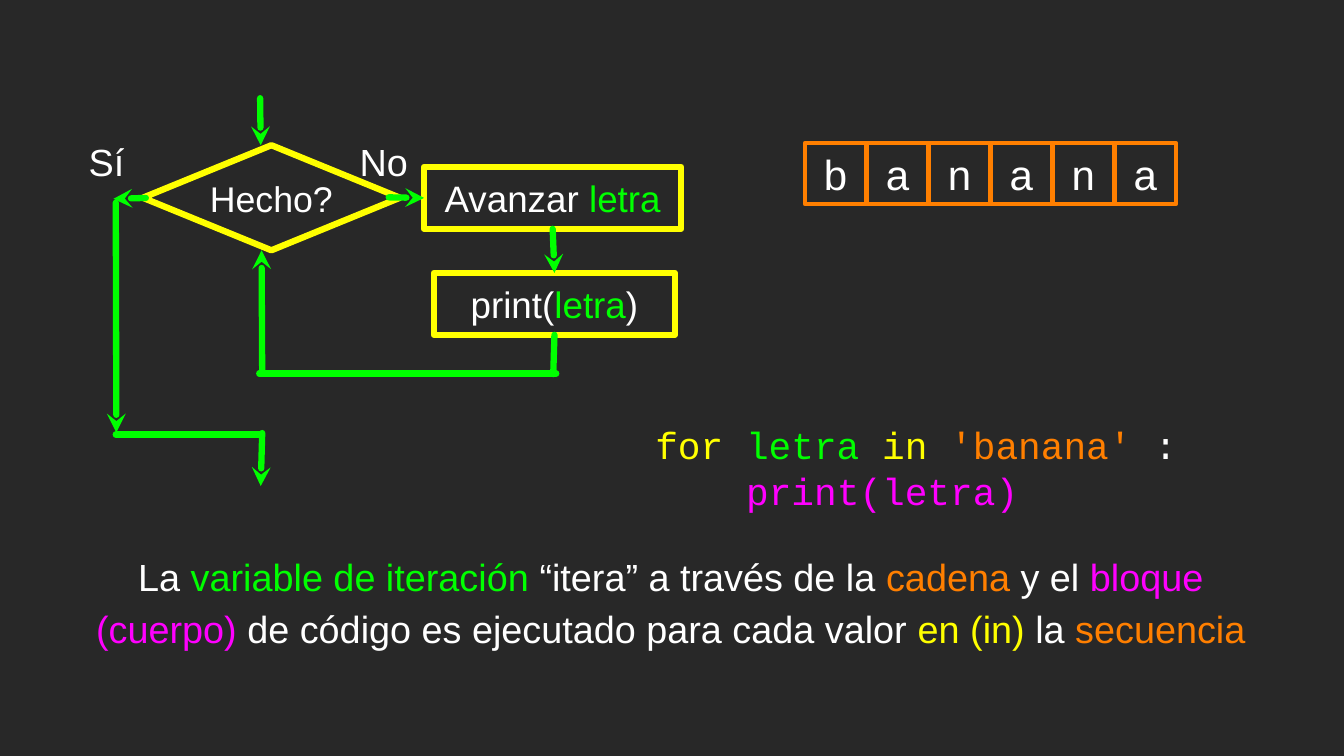
from lxml import etree
from pptx import Presentation
from pptx.dml.color import RGBColor
from pptx.enum.shapes import MSO_CONNECTOR, MSO_SHAPE
from pptx.enum.text import MSO_ANCHOR, PP_ALIGN
from pptx.oxml.ns import qn
from pptx.util import Cm, Pt

STRAIGHT = MSO_CONNECTOR.STRAIGHT
RECT, DIAMOND = MSO_SHAPE.RECTANGLE, MSO_SHAPE.DIAMOND
LEFT, CENTER = PP_ALIGN.LEFT, PP_ALIGN.CENTER
MIDDLE = MSO_ANCHOR.MIDDLE
SIDE_TOP, SIDE_LEFT, SIDE_BOTTOM = 0, 1, 2

DARK, WHITE, GREEN = "282828", "FFFFFF", "00FF00"
YELLOW, ORANGE, MAGENTA = "FFFF00", "FF7F00", "FF00FF"


def color(value):
    return RGBColor.from_string(value)


class FlowSlide:
    """Holds the style and the current slide."""

    sans, mono = "Arial", "Courier New"
    flow_width = 6

    def __init__(self, prs):
        self.slide = prs.slides.add_slide(prs.slide_layouts[6])
        background = self.slide.background.fill
        background.solid()
        background.fore_color.rgb = color(DARK)

    def stroke(self, shape, line_color, width):
        shape.line.color.rgb = color(line_color)
        shape.line.width = Pt(width)
        ln = shape.line._get_or_add_ln()
        ln.set("cap", "rnd")
        etree.SubElement(ln, qn("a:round"))
        return ln

    def fill_text(self, shape, lines, size, font, align, spacing=None):
        """Each line is a list of (text, colour) runs."""
        frame = shape.text_frame
        frame.word_wrap = True
        frame.vertical_anchor = MIDDLE
        frame.margin_left = frame.margin_right = 0
        frame.margin_top = frame.margin_bottom = 0
        for index, runs in enumerate(lines):
            paragraph = frame.add_paragraph() if index else frame.paragraphs[0]
            paragraph.alignment = align
            paragraph.font.size = Pt(size)
            paragraph.font.name = font
            if spacing:
                paragraph.line_spacing = spacing
            for text, run_color in runs:
                run = paragraph.add_run()
                run.text = text
                run.font.color.rgb = color(run_color)

    def text(self, box, lines, size=36, font=sans, align=CENTER, spacing=None):
        shape = self.slide.shapes.add_textbox(*map(Cm, box))
        self.fill_text(shape, lines, size, font, align, spacing)
        return shape

    def node(self, kind, box, runs, size, line_color=YELLOW, width=flow_width):
        shape = self.slide.shapes.add_shape(kind, *map(Cm, box))
        shape.shadow.inherit = False
        shape.fill.background()
        self.stroke(shape, line_color, width)
        self.fill_text(shape, [runs], size, self.sans, CENTER)
        return shape

    def flow(self, start, end, arrow=True, source=None, target=None):
        """Line from start to end; source and target are (shape, side)."""
        line = self.slide.shapes.add_connector(STRAIGHT, *map(Cm, start + end))
        ln = self.stroke(line, GREEN, self.flow_width)
        if arrow:
            etree.SubElement(ln, qn("a:tailEnd"), type="stealth")
        etree.SubElement(line._element.spPr, qn("a:effectLst"))
        if source:
            line.begin_connect(*source)
        if target:
            line.end_connect(*target)


def main():
    prs = Presentation()
    prs.slide_width, prs.slide_height = Cm(45.16), Cm(25.4)
    page = FlowSlide(prs)

    # Loop steps
    page.node(DIAMOND, (4.8, 4.88, 8.64, 3.53), [("Hecho?", WHITE)], 34)
    advance = page.node(RECT, (14.25, 5.61, 8.64, 2.08),
                        [("Avanzar ", WHITE), ("letra", GREEN)], 35)
    output = page.node(RECT, (14.58, 9.17, 8.1, 2.08),
                       [("print(", WHITE), ("letra", GREEN), (")", WHITE)], 35)

    # Entry and loop body
    page.flow((8.74, 3.3), (8.76, 4.88))
    page.flow((13.06, 6.63), (14.25, 6.65), target=(advance, SIDE_LEFT))
    page.flow((18.57, 7.69), (18.63, 9.17),
              source=(advance, SIDE_BOTTOM), target=(output, SIDE_TOP))
    page.flow((18.63, 11.25), (18.59, 12.57), arrow=False,
              source=(output, SIDE_BOTTOM))
    page.flow((18.69, 12.55), (8.71, 12.55), arrow=False)
    page.flow((8.81, 12.55), (8.79, 8.41))

    # Way out of the loop
    page.flow((4.9, 6.65), (3.81, 6.68))
    page.flow((3.89, 6.81), (3.91, 14.53))
    page.flow((3.89, 14.6), (8.76, 14.6), arrow=False)
    page.flow((8.81, 14.55), (8.76, 16.33))

    # Branch labels
    page.text((2.36, 4.55, 2.44, 1.73), [[("Sí", WHITE)]])
    page.text((11.89, 4.55, 2.01, 1.73), [[("No", WHITE)]])

    # Letters of the string
    for index, letter in enumerate("banana"):
        page.node(RECT, (27.05 + 2.08 * index, 4.8, 2.06, 2.06),
                  [(letter, WHITE)], 40, ORANGE, 4)

    # Code, with its block indented by four characters
    code = page.text((22.02, 14.12, 18.44, 3.18), [
        [("for ", YELLOW), ("letra ", GREEN), ("in ", YELLOW),
         ("'banana' ", ORANGE), (":", WHITE)],
        [("print(letra)", MAGENTA)],
    ], font=page.mono, align=LEFT)
    block = code.text_frame.paragraphs[1]
    block._p.get_or_add_pPr().set("marL", str(Cm(3.05)))

    # Explanation
    page.text((2.36, 18.26, 40.36, 3.76), [[
        ("La", WHITE), (" variable de iteración ", GREEN),
        ("“itera” a través de la ", WHITE), ("cadena ", ORANGE),
        ("y el ", WHITE), ("bloque (cuerpo)", MAGENTA),
        (" de código es ejecutado para cada valor ", WHITE),
        ("en (in) ", YELLOW), ("la ", WHITE), ("secuencia", ORANGE),
    ]], spacing=1.15)

    prs.save("out.pptx")


if __name__ == "__main__":
    main()
